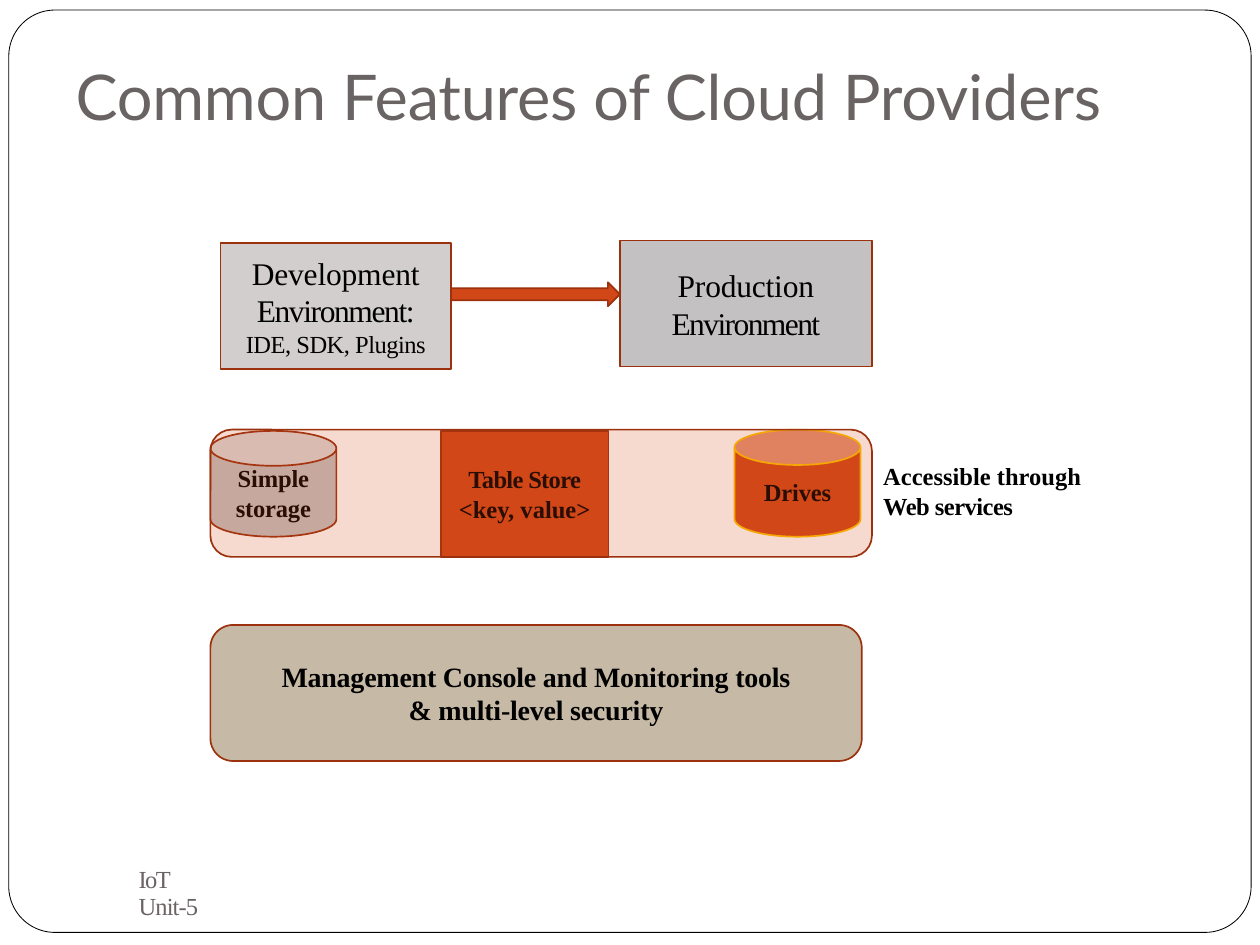
from dataclasses import dataclass

from lxml import etree
from pptx import Presentation
from pptx.dml.color import RGBColor
from pptx.enum.shapes import MSO_SHAPE
from pptx.enum.text import MSO_ANCHOR, PP_ALIGN
from pptx.oxml.ns import qn
from pptx.util import Inches, Pt

RECT = MSO_SHAPE.RECTANGLE
ROUNDED = MSO_SHAPE.ROUNDED_RECTANGLE
CAN = MSO_SHAPE.CAN
ARROW = MSO_SHAPE.RIGHT_ARROW
TOP, MIDDLE = MSO_ANCHOR.TOP, MSO_ANCHOR.MIDDLE
LEFT, CENTER = PP_ALIGN.LEFT, PP_ALIGN.CENTER


@dataclass(frozen=True)
class Theme:
    title_font: str = "Lato"
    font: str = "Times New Roman"
    black: str = "000000"
    muted: str = "696363"
    orange: str = "D24717"
    rust: str = "9B310D"
    gold: str = "FFC000"
    pale_gray: str = "D2CECE"
    gray: str = "C3C1C1"
    tan: str = "C6BAA6"
    title: int = 36
    large: int = 18
    medium: int = 16
    small: int = 14
    line: float = 0.96
    frame_line: float = 0.48


T = Theme()


def rgb(value):
    return RGBColor.from_string(value)


def write(shape, lines, bold=False, color=T.black, font=T.font, align=CENTER,
          anchor=MIDDLE, top=0, spacing=None):
    tf = shape.text_frame
    tf.word_wrap = True
    tf.vertical_anchor = anchor
    tf.margin_left = tf.margin_right = tf.margin_bottom = 0
    tf.margin_top = Inches(top)
    tf.text = "\n".join(text for text, _, _ in lines)
    for p, (_, size, tracking) in zip(tf.paragraphs, lines):
        p.alignment = align
        p.line_spacing = spacing
        for r in p.runs:
            r.font.name = font
            r.font.size = Pt(size)
            r.font.bold = bold
            r.font.color.rgb = rgb(color)
            r.font._element.set("spc", str(round(tracking * 100)))


def add_shape(s, kind, box, fill=None, line=T.rust, width=T.line,
              adjust=(), alpha=None):
    sp = s.shapes.add_shape(kind, *map(Inches, box))
    sp.shadow.inherit = False
    sp.line.color.rgb = rgb(line)
    sp.line.width = Pt(width)
    for i, value in enumerate(adjust):
        sp.adjustments[i] = value
    if fill is None:
        sp.fill.background()
    else:
        sp.fill.solid()
        sp.fill.fore_color.rgb = rgb(fill)
    if alpha is not None:
        clr = sp._element.spPr.find(qn("a:solidFill"))[0]
        etree.SubElement(clr, qn("a:alpha")).set("val", str(alpha * 1000))
    return sp


def add_label(s, box, lines, **style):
    tb = s.shapes.add_textbox(*map(Inches, box))
    write(tb, lines, align=LEFT, anchor=TOP, **style)


def add_title(s, text):
    title = s.shapes.title
    title.left, title.top, title.width, title.height = map(
        Inches, (0.6, 0.22, 8.83, 1.26))
    write(title, [(text, T.title, -0.1)], color=T.muted, font=T.title_font,
          align=LEFT, anchor=TOP, top=0.24)


def add_environments(s):
    dev = add_shape(s, RECT, (1.75, 1.93, 1.83, 1), T.pale_gray)
    write(dev, [("Development", T.large, -0.1),
                ("Environment:", T.large, -0.8),
                ("IDE, SDK, Plugins", T.small, -0.3)])
    prod = add_shape(s, RECT, (4.92, 1.91, 2, 1), T.gray)
    write(prod, [("Production", T.large, -0.1),
                 ("Environment", T.large, -0.9)])
    add_shape(s, ARROW, (3.58, 2.24, 1.34, 0.19), T.orange, adjust=(0.5, 0.5))


def add_storage(s):
    simple = add_shape(s, CAN, (1.67, 3.42, 1, 0.84), T.gray, adjust=(0.33,))
    write(simple, [("Simple", T.small, -0.1), ("storage", T.small, -0.1)],
          bold=True)
    table = add_shape(s, RECT, (3.5, 3.42, 1.33, 1), T.orange)
    write(table, [("Table Store", T.small, -0.4),
                  ("<key, value>", T.small, 0)], bold=True)
    drives = add_shape(s, CAN, (5.83, 3.41, 1, 0.85), T.orange, T.gold,
                       adjust=(0.33,))
    write(drives, [("Drives", T.small, -0.1)], bold=True)
    add_shape(s, ROUNDED, (1.67, 3.41, 5.25, 1.01), T.orange, alpha=20)
    add_label(s, (7.01, 3.66, 1.61, 0.5),
              [("Accessible through", T.small, 0),
               ("Web services", T.small, -0.3)], bold=True)


def add_management(s):
    sp = add_shape(s, ROUNDED, (1.67, 4.96, 5.17, 1.08), T.tan)
    write(sp, [("Management Console and Monitoring tools", T.medium, -0.1),
               ("& multi-level security", T.medium, -0.1)], bold=True)


def main():
    prs = Presentation()
    prs.slide_width, prs.slide_height = Inches(10), Inches(7.5)
    s = prs.slides.add_slide(prs.slide_layouts[5])
    add_shape(s, ROUNDED, (0.07, 0.08, 9.86, 7.32), line=T.black,
              width=T.frame_line, adjust=(0.05,))
    add_title(s, "Common Features of Cloud Providers")
    add_environments(s)
    add_storage(s)
    add_management(s)
    add_label(s, (1.1, 6.88, 0.79, 0.43),
              [("IoT", T.small, -0.9), ("Unit-5", T.small, -0.5)],
              color=T.muted, spacing=Pt(15.3))
    prs.save("out.pptx")


if __name__ == "__main__":
    main()
